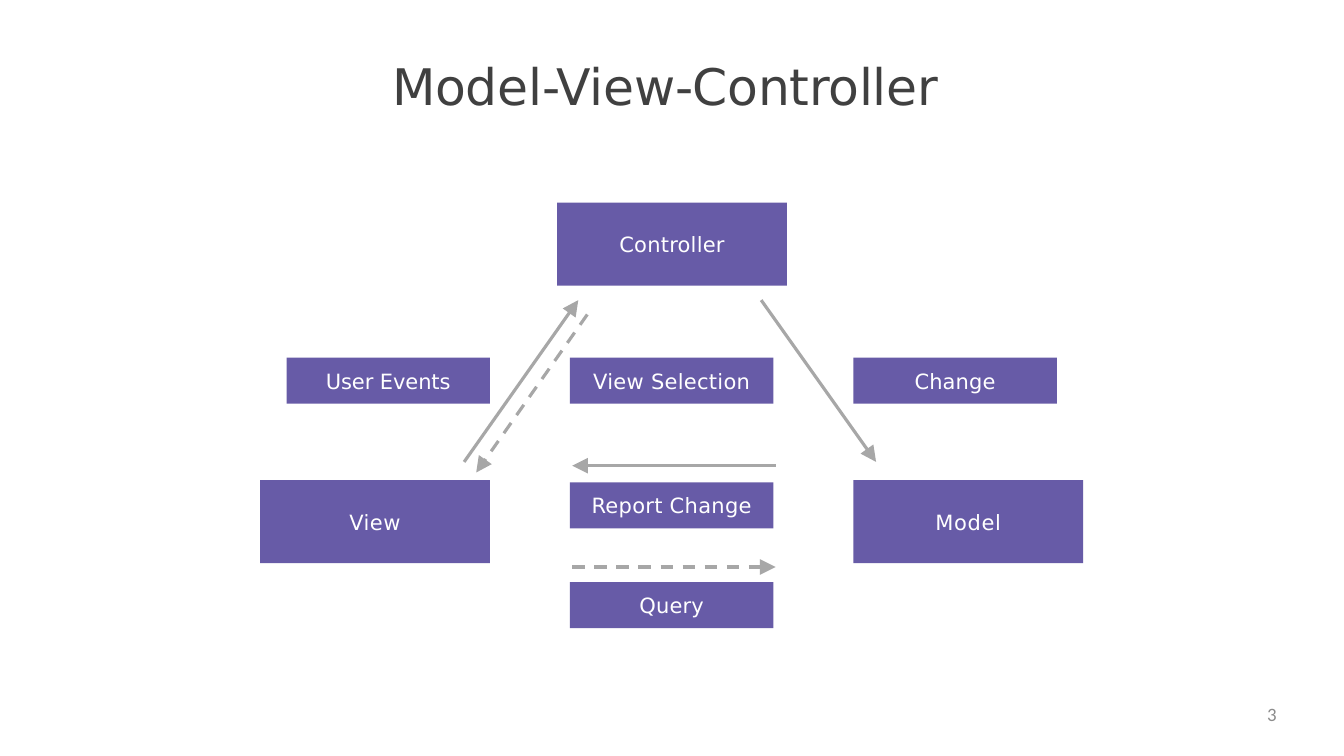
"""Build the Model-View-Controller diagram slide."""
from lxml.etree import SubElement
from pptx import Presentation
from pptx.dml.color import RGBColor
from pptx.enum.dml import MSO_LINE
from pptx.enum.shapes import MSO_CONNECTOR, MSO_SHAPE
from pptx.enum.text import MSO_ANCHOR, PP_ALIGN
from pptx.oxml.ns import qn
from pptx.util import Inches, Pt

PURPLE = RGBColor(0x67, 0x5B, 0xA7)
GRAY = RGBColor(0xA7, 0xA7, 0xA7)
WHITE = RGBColor(0xFF, 0xFF, 0xFF)
TITLE_COLOR = RGBColor(0x40, 0x40, 0x40)
NUMBER_COLOR = RGBColor(0x8C, 0x8C, 0x8C)
MAIN_FONT = "DejaVu Sans"

COMPONENT_SIZE = (3.04, 1.1)
LABEL_SIZE = (2.69, 0.61)

COMPONENTS = [
    ("Model", 11.29, 6.35, 0.6),
    ("View", 3.44, 6.35, 0.4),
    ("Controller", 7.37, 2.68, 0.2),
]
LABELS = [
    ("User Events", 3.79, 4.73, -0.1),
    ("View Selection", 7.54, 4.73, 0.25),
    ("Change", 11.29, 4.73, 0.1),
    ("Report Change", 7.54, 6.38, 0.25),
    ("Query", 7.54, 7.7, 0.1),
]
ARROWS = [
    ((10.07, 3.97), (11.59, 6.11), False),
    ((10.26, 6.16), (7.57, 6.16), False),
    ((7.57, 7.5), (10.26, 7.5), True),
    ((7.77, 4.16), (6.3, 6.25), True),
    ((6.14, 6.11), (7.65, 3.97), False),
]


def write_text(shape, text, size, color, font, align, anchor, spacing=0):
    frame = shape.text_frame
    frame.text = text
    frame.word_wrap = True
    frame.vertical_anchor = anchor
    frame.margin_left = frame.margin_right = 0
    frame.margin_top = frame.margin_bottom = 0
    para = frame.paragraphs[0]
    para.alignment = align
    span = para.runs[0]
    span.font.size = Pt(size)
    span.font.name = font
    span.font.color.rgb = color
    if spacing:
        span._r.get_or_add_rPr().set("spc", str(round(spacing * 100)))


def add_box(page, text, left, top, spacing, size):
    box = page.shapes.add_shape(
        MSO_SHAPE.RECTANGLE, *map(Inches, (left, top, *size)))
    box.shadow.inherit = False
    box.fill.solid()
    box.fill.fore_color.rgb = PURPLE
    box.line.fill.background()
    write_text(box, text, 20, WHITE, MAIN_FONT, PP_ALIGN.CENTER,
               MSO_ANCHOR.MIDDLE, spacing)


def add_arrow(page, start, end, dashed):
    arrow = page.shapes.add_connector(
        MSO_CONNECTOR.STRAIGHT, *map(Inches, (*start, *end)))
    arrow.line.color.rgb = GRAY
    arrow.line.width = Pt(3)
    if dashed:
        arrow.line.dash_style = MSO_LINE.DASH
    properties = arrow._element.spPr
    SubElement(properties.find(qn("a:ln")), qn("a:tailEnd"),
               type="triangle", w="lg", len="lg")
    SubElement(properties, qn("a:effectLst"))


def main():
    deck = Presentation()
    deck.slide_width = Inches(17.78)
    deck.slide_height = Inches(10)
    page = deck.slides.add_slide(deck.slide_layouts[6])

    title = page.shapes.add_textbox(*map(Inches, (5.19, 0.71, 7.39, 0.83)))
    write_text(title, "Model-View-Controller", 48, TITLE_COLOR, MAIN_FONT,
               PP_ALIGN.LEFT, MSO_ANCHOR.MIDDLE, -0.3)

    for component in COMPONENTS:
        add_box(page, *component, COMPONENT_SIZE)
    for label in LABELS:
        add_box(page, *label, LABEL_SIZE)
    for arrow in ARROWS:
        add_arrow(page, *arrow)

    number = page.shapes.add_textbox(*map(Inches, (12.8, 9.3, 4.09, 0.5)))
    write_text(number, "3", 18, NUMBER_COLOR, "Calibri", PP_ALIGN.RIGHT,
               MSO_ANCHOR.TOP)

    deck.save("out.pptx")


if __name__ == "__main__":
    main()
